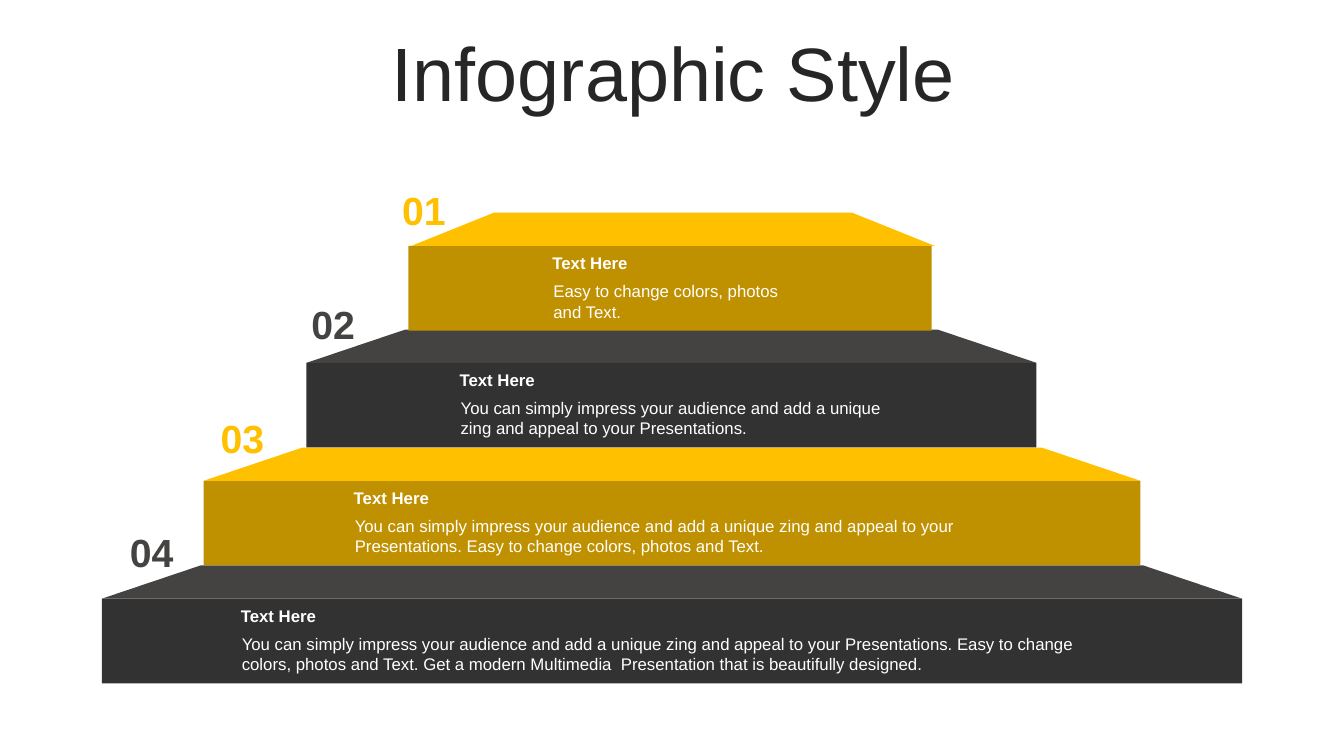
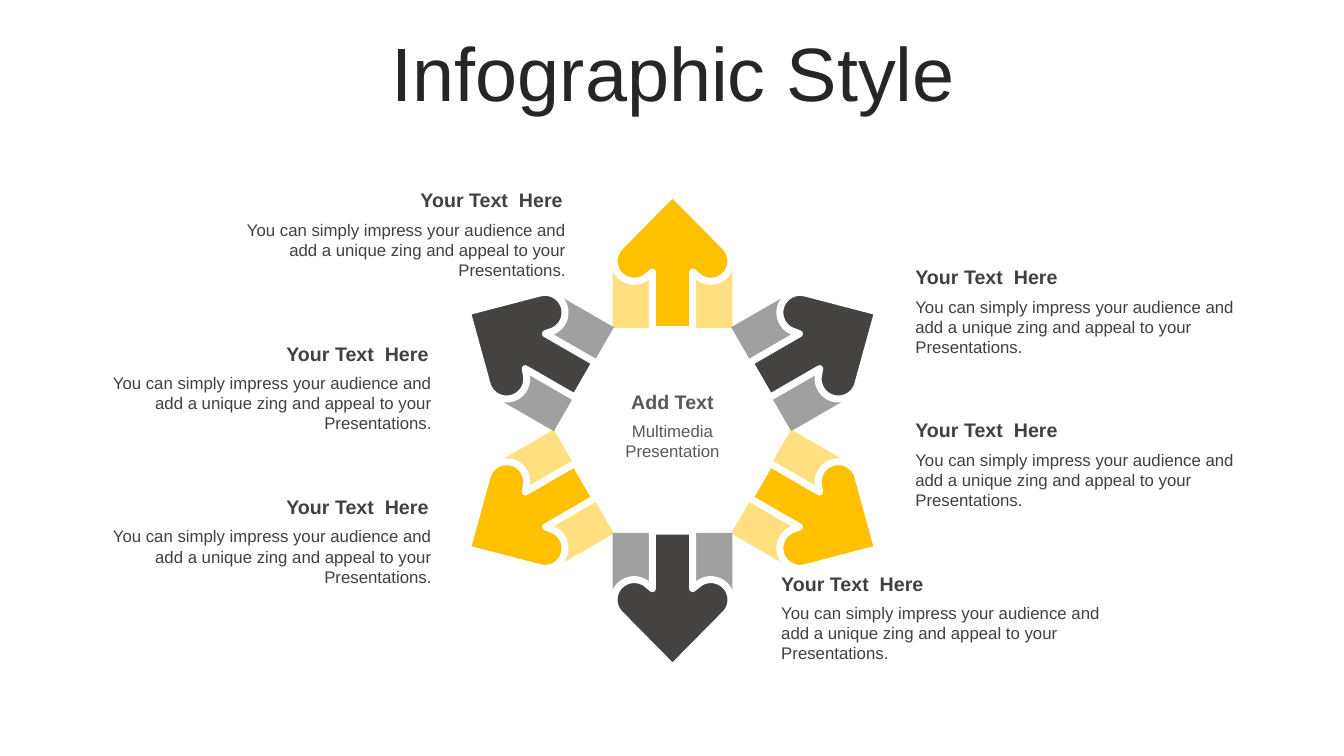
import math

from lxml import etree
from pptx import Presentation
from pptx import util as u
from pptx.dml.color import RGBColor
from pptx.enum import shapes, text
from pptx.oxml.ns import qn

SCALE = 9144
FONT = "Arial"
GOLD, DARK_GOLD = "FFC000", "BF9000"
GRAY, DARK_GRAY = "444342", "333232"
WHITE, TITLE_INK, TEXT_INK, HUB_INK = "FFFFFF", "262626", "404040", "595959"
LEFT, CENTER, RIGHT = text.PP_ALIGN.LEFT, text.PP_ALIGN.CENTER, text.PP_ALIGN.RIGHT

TITLE = "Infographic Style"
IMPRESS = "You can simply impress your audience and add a unique zing and appeal to your Presentations."
EASY = "Easy to change colors, photos and Text."
MODERN = "Get a modern Multimedia  Presentation that is beautifully designed."

TIERS = [
    (405, 519, 3, 82, 539, 268, EASY),
    (304, 724, 0, 98, 447, 448, IMPRESS),
    (202, 929, 0, 98, 342, 655, f"{IMPRESS} {EASY}"),
    (101, 1131, 0, 98, 230, 873, f"{IMPRESS} {EASY} {MODERN}"),
]
TIER_TOP, TIER_STEP, TIER_H, ROOF_H = 244, 116.5, 84, 33

HUB_X, HUB_Y = 667, 427
TIP, BASE, SHAFT = 235, 100, 20
LOBE_X, LOBE_Y, LOBE_R = 38, 168, 20
BLOCK_W, BLOCK_H, BLOCK_DIST = 119, 63, 133

CAPTIONS = [(LEFT, 258, (898, 898, 765)), (RIGHT, 182, (213, 80, 80))]
CAPTION_STEP = 152


def px(n):
    return round(n * SCALE)


def color(hex_string):
    return RGBColor.from_string(hex_string)


def paint(s, fill, alpha=None):
    s.shadow.inherit = False
    s.fill.solid()
    s.fill.fore_color.rgb = color(fill)
    s.line.fill.background()
    if alpha is not None:
        clr = s.fill._xPr.find(qn("a:solidFill")).find(qn("a:srgbClr"))
        etree.SubElement(clr, qn("a:alpha")).set("val", str(alpha * 1000))


def add_block(slide, kind, x, y, w, h, fill, alpha=None):
    s = slide.shapes.add_shape(kind, px(x), px(y), px(w), px(h))
    paint(s, fill, alpha)
    return s


def add_text(slide, words, x, y, w, h, size, ink, bold=False, align=LEFT):
    box = slide.shapes.add_textbox(px(x), px(y), px(w), px(h))
    tf = box.text_frame
    tf.word_wrap = True
    tf.text = words
    p = tf.paragraphs[0]
    p.alignment = align
    font = p.runs[0].font
    font.name, font.size, font.bold = FONT, u.Pt(size), bold
    font.color.rgb = color(ink)
    return tf


def add_slide(prs):
    slide = prs.slides.add_slide(prs.slide_layouts[6])
    tf = add_text(slide, TITLE, 35, 37, 1266, 79, 54, TITLE_INK, align=CENTER)
    tf.vertical_anchor = text.MSO_ANCHOR.MIDDLE
    tf.paragraphs[0].line_spacing = 0.9
    return slide


def add_tier(slide, i, tier):
    x, w, shift, inset, text_x, text_w, words = tier
    y = round(TIER_TOP + i * TIER_STEP)
    roof, front = ((GOLD, DARK_GOLD), (GRAY, DARK_GRAY))[i % 2]
    add_block(slide, shapes.MSO_SHAPE.RECTANGLE, x, y, w, TIER_H, front)
    top = add_block(slide, shapes.MSO_SHAPE.TRAPEZOID, x + shift, y - ROOF_H, w, ROOF_H, roof)
    top.adjustments[0] = inset / ROOF_H
    add_text(slide, words, text_x, y + 30, text_w, 50, 12, WHITE)
    add_text(slide, "Text Here", text_x - 1, y + 2, text_w, 30, 12, WHITE, True)
    add_text(slide, f"{i + 1:02d}", 384 - 90 * i, 180 + 113 * i, 73, 57, 28, roof, True, CENTER)


def arrow_outline():
    lobe = []
    for degrees in range(-45, 136, 10):
        a = math.radians(degrees)
        lobe.append((LOBE_X + LOBE_R * math.cos(a), -LOBE_Y + LOBE_R * math.sin(a)))
    half = lobe + [(SHAFT, -LOBE_Y + LOBE_X - SHAFT - 9 + LOBE_R - 18), (SHAFT, -BASE)]
    return [(0, -TIP)] + half + [(-x, y) for x, y in reversed(half)]


def around_hub(point, degrees):
    x, y = point
    a = math.radians(degrees)
    return (px(HUB_X + x * math.cos(a) - y * math.sin(a)),
            px(HUB_Y + x * math.sin(a) + y * math.cos(a)))


def add_arrow(slide, degrees, fill):
    cx, cy = around_hub((0, -BLOCK_DIST), degrees)
    block = add_block(slide, shapes.MSO_SHAPE.RECTANGLE, 0, 0, BLOCK_W, BLOCK_H, fill, 50)
    block.left, block.top = cx - block.width // 2, cy - block.height // 2
    block.rotation = degrees
    points = [around_hub(point, degrees) for point in arrow_outline()]
    builder = slide.shapes.build_freeform(*points[0])
    builder.add_line_segments(points[1:], close=True)
    arrow = builder.convert_to_shape()
    paint(arrow, fill)
    arrow.line.color.rgb = color(WHITE)
    arrow.line.width = u.Pt(5)


def add_caption(slide, x, y, align):
    add_text(slide, IMPRESS, x, y + 31, 358, 71, 12, TEXT_INK, align=align)
    add_text(slide, "Your Text  Here", x, y, 355, 34, 14, TEXT_INK, True, align)


def build_pyramid(prs):
    slide = add_slide(prs)
    for i, tier in reversed(list(enumerate(TIERS))):
        add_tier(slide, i, tier)


def build_arrow_wheel(prs):
    slide = add_slide(prs)
    for i in range(6):
        add_arrow(slide, i * 60, (GOLD, GRAY)[i % 2])
    add_text(slide, "Add Text", 597, 382, 140, 34, 14, HUB_INK, True, CENTER)
    add_text(slide, "Multimedia Presentation", 597, 412, 140, 50, 12, HUB_INK, align=CENTER)
    for align, top, lefts in CAPTIONS:
        for row, x in enumerate(lefts):
            add_caption(slide, x, top + row * CAPTION_STEP, align)


def main():
    prs = Presentation()
    prs.slide_width, prs.slide_height = px(1333), px(750)
    build_pyramid(prs)
    build_arrow_wheel(prs)
    prs.save("out.pptx")


if __name__ == "__main__":
    main()
